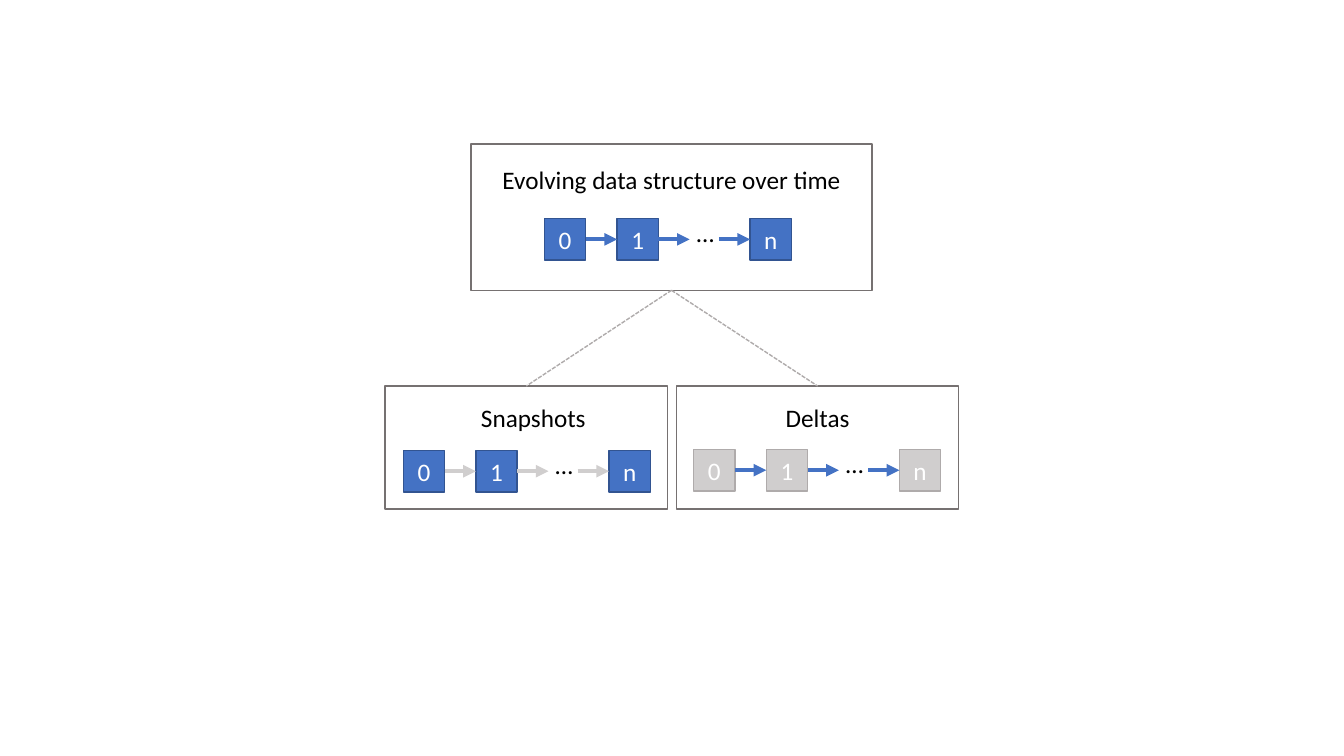
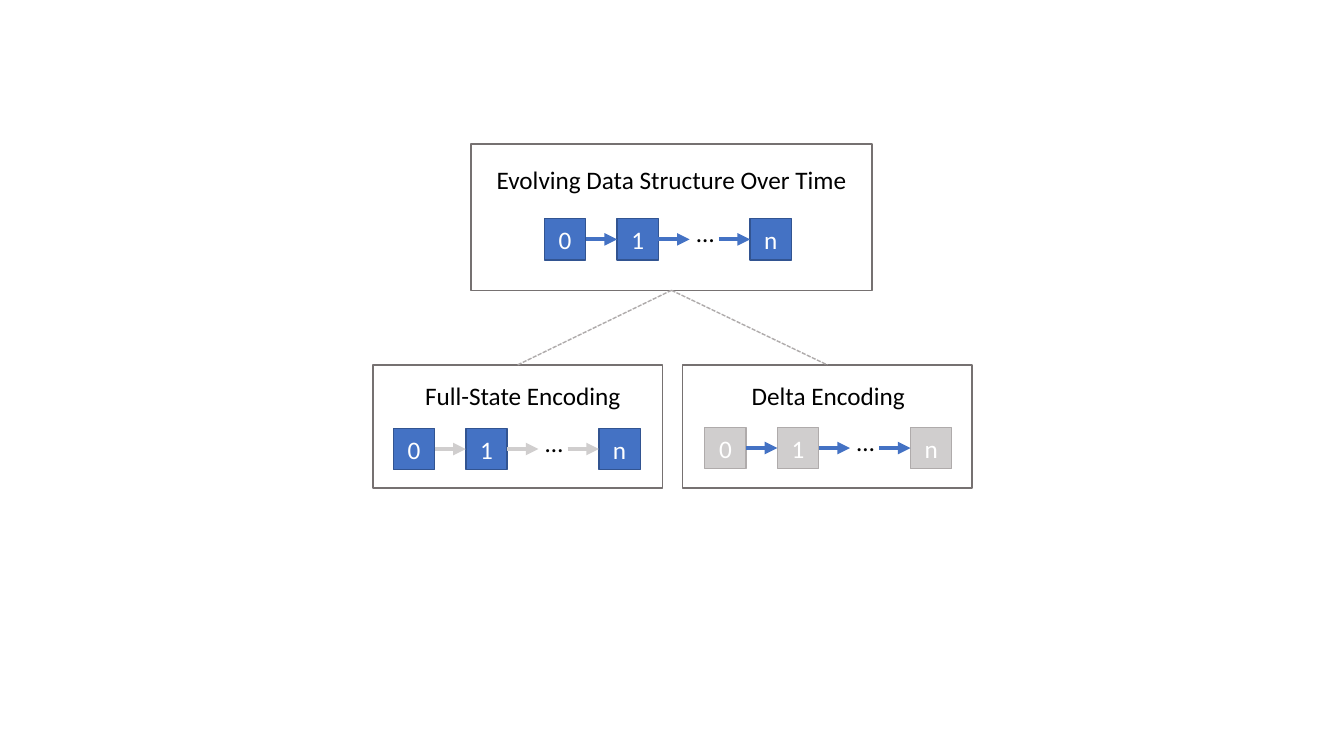
from dataclasses import dataclass

from lxml.etree import SubElement
from pptx import Presentation
from pptx.dml.color import RGBColor
from pptx.enum.dml import MSO_LINE
from pptx.enum.shapes import MSO_CONNECTOR, MSO_SHAPE
from pptx.enum.text import MSO_ANCHOR, PP_ALIGN
from pptx.oxml.ns import qn
from pptx.util import Inches, Pt


@dataclass(frozen=True)
class Theme:
    font: str = "Calibri"
    text_size: int = 18
    outline: int = 1
    arrow: int = 3
    black: str = "000000"
    white: str = "FFFFFF"
    blue: str = "4472C4"
    blue_edge: str = "325491"
    gray: str = "D0CECE"
    gray_edge: str = "AFABAB"
    frame: str = "767171"


THEME = Theme()
ACTIVE = (THEME.blue, THEME.blue_edge)
MUTED = (THEME.gray, THEME.gray_edge)


@dataclass(frozen=True)
class Panel:
    title: str
    frame: tuple  # left, top, width, height
    title_offset: tuple  # shift of the title from the frame's left and top
    chain: tuple  # left and top of the first node
    node_colors: tuple = ACTIVE
    arrow_color: str = THEME.blue


TOP_FRAME = (4.67, 1.43, 3.98, 1.45)
TOP_CHAIN = (5.4, 2.17)

# Each slide: one parent panel followed by its two children.
SLIDES = [
    [
        Panel("Evolving data structure over time", TOP_FRAME, (0, 0.15), TOP_CHAIN),
        Panel("Snapshots", (3.82, 3.83, 2.8, 1.22), (0.07, 0.11), (4, 4.47),
              arrow_color=THEME.gray),
        Panel("Deltas", (6.71, 3.83, 2.8, 1.22), (0, 0.11), (6.88, 4.46),
              node_colors=MUTED),
    ],
    [
        Panel("Evolving Data Structure Over Time", TOP_FRAME, (0, 0.15), TOP_CHAIN),
        Panel("Full-State Encoding", (3.7, 3.62, 2.87, 1.22), (0.05, 0.1), (3.9, 4.25),
              arrow_color=THEME.gray),
        Panel("Delta Encoding", (6.77, 3.62, 2.87, 1.22), (0.01, 0.1), (6.99, 4.24),
              node_colors=MUTED),
    ],
]

NODE_SIZE = 0.41
NODE_OFFSETS = {"0": 0, "1": 0.72, "n": 2.04}
ARROW_LENGTH = 0.31
ELLIPSIS = "…"
ELLIPSIS_OFFSET = (1.41, -0.06)
TEXT_HEIGHT = 0.4
BOTTOM, LEFT, TOP, RIGHT = 2, 1, 0, 3


def set_text(shape, text, color, alignment):
    shape.text_frame.text = text
    para = shape.text_frame.paragraphs[0]
    para.alignment = alignment
    font = para.runs[0].font
    font.name = THEME.font
    font.size = Pt(THEME.text_size)
    font.color.rgb = RGBColor.from_string(color)


def add_label(page, text, left, top, width, alignment):
    box = page.shapes.add_textbox(*map(Inches, (left, top, width, TEXT_HEIGHT)))
    box.text_frame.word_wrap = False
    set_text(box, text, THEME.black, alignment)


def add_rectangle(page, bounds, edge, fill=None):
    rectangle = page.shapes.add_shape(MSO_SHAPE.RECTANGLE, *map(Inches, bounds))
    rectangle.shadow.inherit = False
    if fill:
        rectangle.fill.solid()
        rectangle.fill.fore_color.rgb = RGBColor.from_string(fill)
    else:
        rectangle.fill.background()
    rectangle.line.color.rgb = RGBColor.from_string(edge)
    rectangle.line.width = Pt(THEME.outline)
    return rectangle


def add_line(page, start, end, color, width):
    line = page.shapes.add_connector(
        MSO_CONNECTOR.STRAIGHT, *map(Inches, (*start, *end)))
    line.line.color.rgb = RGBColor.from_string(color)
    line.line.width = Pt(width)
    SubElement(line.element.spPr, qn("a:effectLst"))
    return line


def add_arrow(page, left, middle, color):
    arrow = add_line(page, (left, middle), (left + ARROW_LENGTH, middle),
                     color, THEME.arrow)
    SubElement(arrow.line._get_or_add_ln(), qn("a:tailEnd"), type="triangle")
    return arrow


def add_chain(page, panel):
    """Draw the version nodes 0, 1, … n and the arrows between them."""
    left, top = panel.chain
    fill, edge = panel.node_colors
    nodes = {}
    for name, offset in NODE_OFFSETS.items():
        node = add_rectangle(page, (left + offset, top, NODE_SIZE, NODE_SIZE), edge, fill)
        node.text_frame.vertical_anchor = MSO_ANCHOR.MIDDLE
        set_text(node, name, THEME.white, PP_ALIGN.CENTER)
        nodes[name] = node

    add_label(page, ELLIPSIS, left + ELLIPSIS_OFFSET[0], top + ELLIPSIS_OFFSET[1],
              0.38, PP_ALIGN.LEFT)

    middle = top + NODE_SIZE / 2
    for source, target in (("0", "1"), ("1", None), (None, "n")):
        if source:
            start = left + NODE_OFFSETS[source] + NODE_SIZE
        else:
            start = left + NODE_OFFSETS[target] - ARROW_LENGTH
        arrow = add_arrow(page, start, middle, panel.arrow_color)
        if source:
            arrow.begin_connect(nodes[source], RIGHT)
        if target:
            arrow.end_connect(nodes[target], LEFT)


def add_panel(page, panel):
    left, top, width, _ = panel.frame
    shift, drop = panel.title_offset
    frame = add_rectangle(page, panel.frame, THEME.frame)
    add_label(page, panel.title, left + shift, top + drop, width, PP_ALIGN.CENTER)
    add_chain(page, panel)
    return frame


def add_branch(page, parent, child):
    branch = add_line(page, (0, 0), (1, 1), THEME.gray_edge, THEME.outline)
    branch.line.dash_style = MSO_LINE.SQUARE_DOT
    branch.begin_connect(parent, BOTTOM)
    branch.end_connect(child, TOP)


def main():
    deck = Presentation()
    deck.slide_width, deck.slide_height = Inches(13.33), Inches(7.5)
    for panels in SLIDES:
        page = deck.slides.add_slide(deck.slide_layouts[6])
        parent, *children = [add_panel(page, panel) for panel in panels]
        for child in children:
            add_branch(page, parent, child)
    deck.save("out.pptx")


if __name__ == "__main__":
    main()
